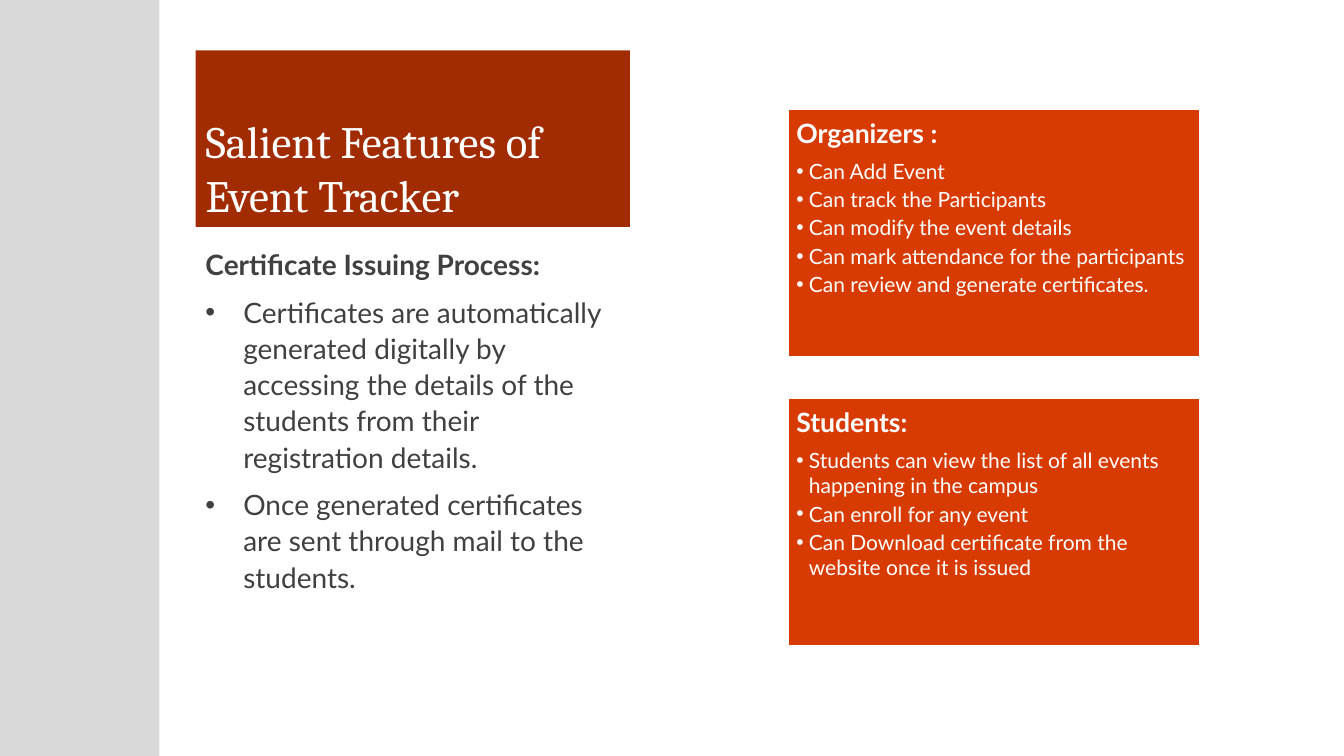
from dataclasses import dataclass

from lxml.etree import SubElement
from pptx import Presentation
from pptx.dml.color import RGBColor
from pptx.enum.shapes import MSO_SHAPE
from pptx.enum.text import MSO_ANCHOR, MSO_AUTO_SIZE, PP_ALIGN
from pptx.oxml.ns import qn
from pptx.shapes.autoshape import Shape
from pptx.slide import Slide
from pptx.text.text import TextFrame
from pptx.util import Pt

WHITE = "FFFFFF"
BODY_FONT = "Lato"
LEFT_COLUMN = 139.7
LEFT_WIDTH = 310.3
CARD_LEFT = 563
CARD_WIDTH = 294.5
CARD_HEIGHT = 177.1
CARD_TOP = 77.8
CARD_PITCH = 206.6


@dataclass(frozen=True)
class TextStyle:
    size: float
    color: str
    font: str = BODY_FONT
    bold: bool = False
    space_after: float = 0
    line_spacing: float = 1.0
    bullet_indent: float = 0


@dataclass(frozen=True)
class Card:
    heading: str
    points: tuple[str, ...]


TITLE = TextStyle(32, WHITE, font="Cambria")
PROCESS_HEADING = TextStyle(20, "404040", bold=True, space_after=8, line_spacing=1.08)
PROCESS_POINT = TextStyle(20, "404040", space_after=8, line_spacing=1.08, bullet_indent=27)
CARD_HEADING = TextStyle(19, WHITE, bold=True, space_after=6.65)
CARD_POINT = TextStyle(15, WHITE, space_after=2.25, bullet_indent=9)

PROCESS = Card("Certificate Issuing Process:", (
    "Certificates are automatically generated digitally by accessing the details "
    "of the students from their registration details.",
    "Once generated certificates are sent through mail to the students.",
))
CARDS = (
    Card("Organizers :", (
        "Can Add Event",
        "Can track the Participants",
        "Can modify the event details",
        "Can mark attendance for the participants",
        "Can review and generate certificates.",
    )),
    Card("Students:", (
        "Students can view the list of all events happening in the campus",
        "Can enroll for any event",
        "Can Download certificate from the website once it is issued",
    )),
)


def rgb(color: str) -> RGBColor:
    return RGBColor.from_string(color)


def add_paragraph(frame: TextFrame, text: str, style: TextStyle, first: bool = False) -> None:
    para = frame.paragraphs[0] if first else frame.add_paragraph()
    para.alignment = PP_ALIGN.LEFT
    para.line_spacing = style.line_spacing
    para.space_before = Pt(0)
    para.space_after = Pt(style.space_after)
    if style.bullet_indent:
        properties = para._p.get_or_add_pPr()
        properties.set("marL", str(Pt(style.bullet_indent)))
        properties.set("indent", str(-Pt(style.bullet_indent)))
        SubElement(properties, qn("a:buFont"), typeface="Arial")
        SubElement(properties, qn("a:buChar"), char="•")
    span = para.add_run()
    span.text = text
    span.font.name = style.font
    span.font.size = Pt(style.size)
    span.font.bold = style.bold
    span.font.color.rgb = rgb(style.color)


def fill_list(frame: TextFrame, card: Card, heading: TextStyle, point: TextStyle) -> None:
    """Write a heading followed by its bulleted points."""
    frame.word_wrap = True
    frame.vertical_anchor = MSO_ANCHOR.TOP
    add_paragraph(frame, card.heading, heading, first=True)
    for text in card.points:
        add_paragraph(frame, text, point)


def add_rectangle(slide: Slide, left: float, top: float, width: float, height: float,
                  color: str) -> Shape:
    box = slide.shapes.add_shape(MSO_SHAPE.RECTANGLE, Pt(left), Pt(top), Pt(width), Pt(height))
    box.shadow.inherit = False
    box.fill.solid()
    box.fill.fore_color.rgb = rgb(color)
    box.line.fill.background()
    return box


def format_title(slide: Slide) -> None:
    title = slide.shapes.title
    title.left, title.top = Pt(LEFT_COLUMN), Pt(36)
    title.width, title.height = Pt(LEFT_WIDTH), Pt(126)
    title.fill.solid()
    title.fill.fore_color.rgb = rgb("A22C01")
    frame = title.text_frame
    frame.word_wrap = True
    frame.auto_size = MSO_AUTO_SIZE.NONE
    frame.vertical_anchor = MSO_ANCHOR.BOTTOM
    add_paragraph(frame, "Salient Features of Event Tracker", TITLE, first=True)


def add_process(slide: Slide) -> None:
    box = slide.shapes.add_textbox(Pt(LEFT_COLUMN), Pt(171.4), Pt(LEFT_WIDTH), Pt(290.9))
    fill_list(box.text_frame, PROCESS, PROCESS_HEADING, PROCESS_POINT)


def add_card(slide: Slide, card: Card, top: float) -> None:
    box = add_rectangle(slide, CARD_LEFT, top, CARD_WIDTH, CARD_HEIGHT, "D83B01")
    box.line.color.rgb = rgb(WHITE)
    box.line.width = Pt(1.5)
    frame = box.text_frame
    frame.margin_left = frame.margin_right = Pt(5.8)
    frame.margin_top = frame.margin_bottom = Pt(5.8)
    fill_list(frame, card, CARD_HEADING, CARD_POINT)


def main() -> None:
    deck = Presentation()
    deck.slide_width, deck.slide_height = Pt(960), Pt(540)
    page = deck.slides.add_slide(deck.slide_layouts.get_by_name("Title Only"))
    page.background.fill.solid()
    page.background.fill.fore_color.rgb = rgb(WHITE)
    add_rectangle(page, 0, 0, 113.8, 540, "D9D9D9")
    format_title(page)
    add_process(page)
    for row, card in enumerate(CARDS):
        add_card(page, card, CARD_TOP + row * CARD_PITCH)
    deck.save("out.pptx")


if __name__ == "__main__":
    main()
